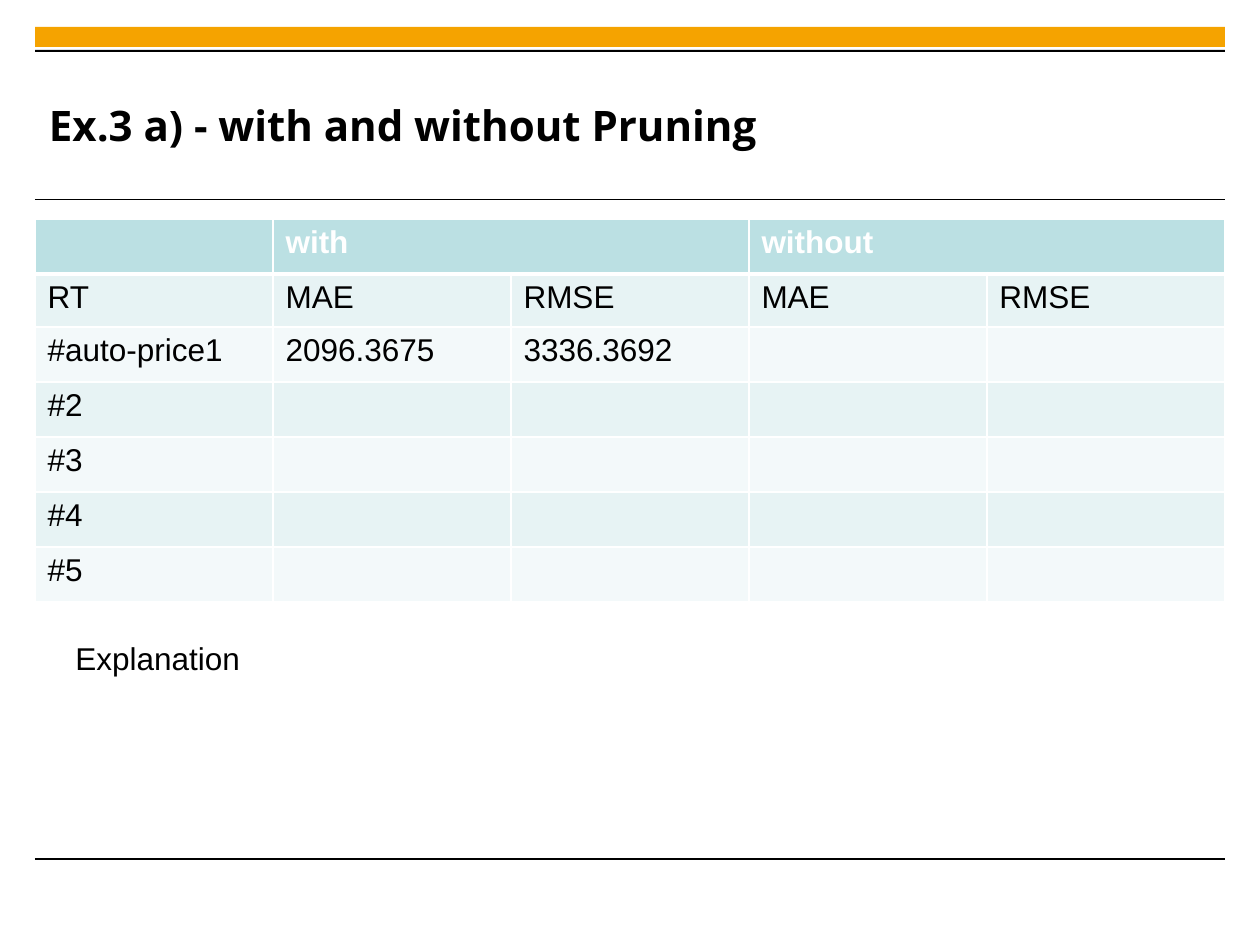
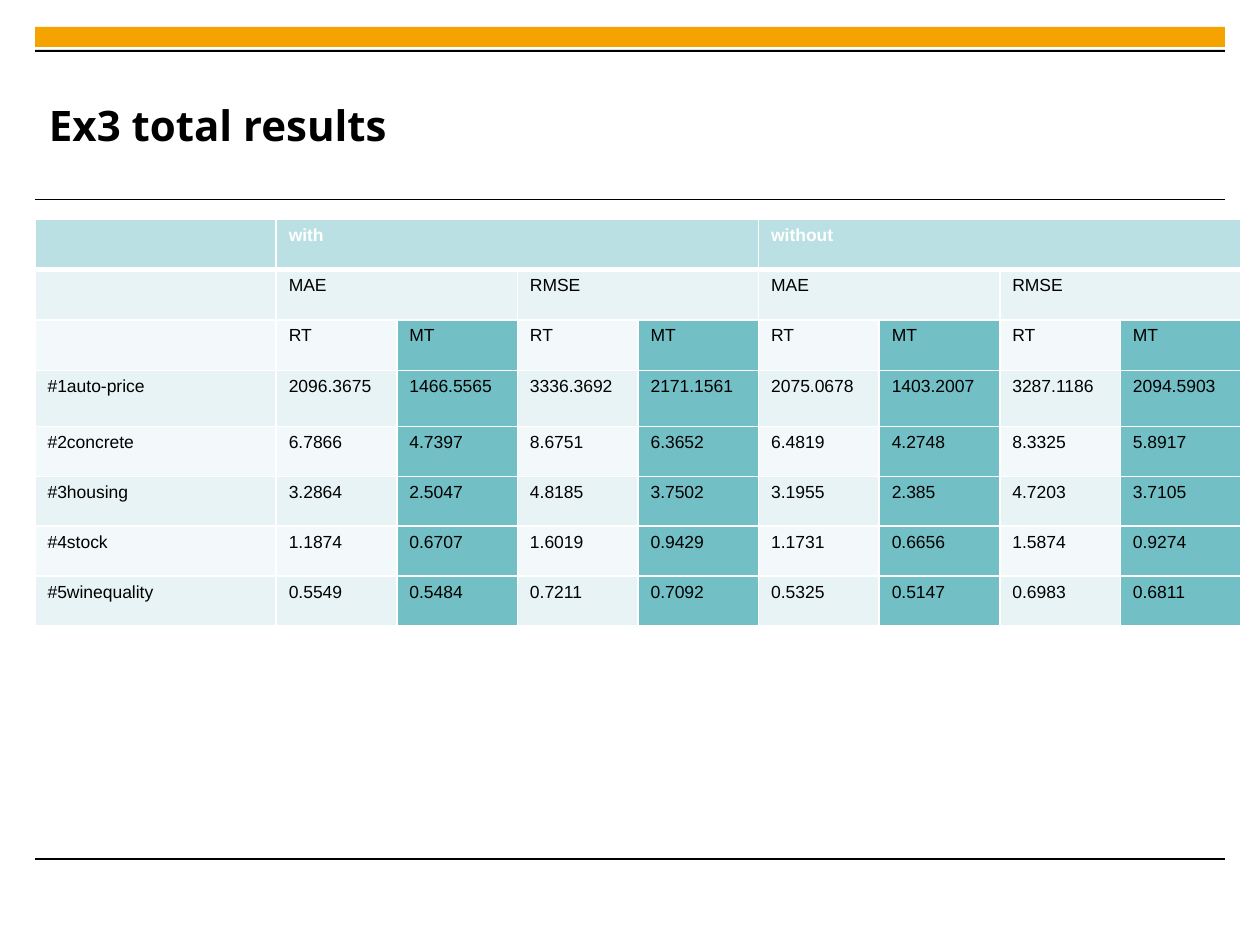
from pptx import Presentation
from pptx.dml.color import RGBColor
from pptx.enum.shapes import MSO_CONNECTOR, MSO_SHAPE
from pptx.enum.text import MSO_ANCHOR
from pptx.oxml import parse_xml
from pptx.oxml.ns import nsdecls
from pptx.util import Pt

SCALE = 914400 / 126
BLACK, WHITE, ORANGE = "000000", "FFFFFF", "F5A300"
HEADER, BANDS, ACCENT = "BBE0E3", ("F3F9FA", "E7F3F4"), "72BFC5"
LEFT, RIGHT, TABLE_TOP = 35, 1225, 219


def px(length):
    return round(length * SCALE)


def paint(color_format, color):
    color_format.rgb = RGBColor.from_string(color)


def write(frame, text, size=18, font="Arial", color=BLACK, bold=False):
    run = frame.paragraphs[0].add_run()
    run.text = text
    run.font.size, run.font.name, run.font.bold = Pt(size), font, bold
    paint(run.font.color, color)


def add_borders(cell, top=1, bottom=1):
    properties = cell._tc.get_or_add_tcPr()
    for side, points in (("L", 1), ("R", 1), ("T", top), ("B", bottom)):
        properties.append(parse_xml(
            f'<a:ln{side} {nsdecls("a")} w="{Pt(points)}"><a:solidFill>'
            f'<a:srgbClr val="{WHITE}"/></a:solidFill></a:ln{side}>'))


class Deck:
    """Holds the shared style and the slide being built."""

    def __init__(self):
        self.presentation = Presentation()
        self.presentation.slide_width = px(1260)
        self.presentation.slide_height = px(945)
        self.slide = None

    def start_slide(self, title):
        self.slide = self.presentation.slides.add_slide(
            self.presentation.slide_layouts[6])
        self.band(27, 20, ORANGE)
        self.rule(200)
        self.rule(859)
        self.band(50, 2, BLACK)
        frame = self.text(title, 49, 67, 948, 116,
                          size=24, font="Open Sans", bold=True)
        frame.vertical_anchor = MSO_ANCHOR.MIDDLE
        frame.margin_left = frame.margin_right = 0
        frame.margin_top = frame.margin_bottom = 0

    def band(self, top, height, color):
        band = self.slide.shapes.add_shape(
            MSO_SHAPE.RECTANGLE, px(LEFT), px(top), px(RIGHT - LEFT), px(height))
        band.shadow.inherit = False
        band.fill.solid()
        paint(band.fill.fore_color, color)
        band.line.fill.background()

    def rule(self, top):
        rule = self.slide.shapes.add_connector(
            MSO_CONNECTOR.STRAIGHT, px(LEFT), px(top), px(RIGHT), px(top))
        rule.line.width = Pt(0.6)
        paint(rule.line.color, BLACK)
        rule._element.spPr.append(parse_xml(f'<a:effectLst {nsdecls("a")}/>'))

    def text(self, text, left, top, width, height, **style):
        frame = self.slide.shapes.add_textbox(
            px(left), px(top), px(width), px(height)).text_frame
        frame.word_wrap = True
        write(frame, text, **style)
        return frame

    def table(self, rows, width, weights, heights, size, spans, accent_from=None):
        """Draw rows; spans maps a row to its merge width, accents fill even columns."""
        table = self.slide.shapes.add_table(
            len(rows), len(weights), px(LEFT), px(TABLE_TOP),
            px(width), px(sum(heights))).table
        table.first_row = table.horz_banding = False
        for column, weight in zip(table.columns, weights):
            column.width = px(width * weight / sum(weights))
        for row, height in zip(table.rows, heights):
            row.height = px(height)
        for r, values in enumerate(rows):
            span = spans.get(r, 1)
            for c in range(len(weights)):
                cell = table.cell(r, c)
                add_borders(cell, top=3 if r == 1 else 1, bottom=3 if r == 0 else 1)
                accented = accent_from is not None and r >= accent_from
                fill = HEADER if r == 0 else BANDS[r % 2]
                if accented and c and c % 2 == 0:
                    fill = ACCENT
                cell.fill.solid()
                paint(cell.fill.fore_color, fill)
            for i, value in enumerate(values):
                first = 1 + (i - 1) * span if i else 0
                cell = table.cell(r, first)
                if i and span > 1:
                    cell.merge(table.cell(r, first + span - 1))
                write(cell.text_frame, value, size=size, bold=r == 0,
                      color=WHITE if r == 0 else BLACK)


deck = Deck()

deck.start_slide("Ex.3 a) - with and without Pruning")
pruning = [
    ["", "with", "without"],
    ["RT"] + ["MAE", "RMSE"] * 2,
    ["#auto-price1", "2096.3675", "3336.3692", "", ""],
] + [[f"#{number}"] + [""] * 4 for number in range(2, 6)]
deck.table(pruning, 1190, [1] * 5, [55, 53] + [55] * 5, 18, {0: 2})
deck.text("Explanation", 63, 633, 1103, 165)

deck.start_slide("Ex3 total results")
results = [
    ["", "with", "without"],
    [""] + ["MAE", "RMSE"] * 2,
    [""] + ["RT", "MT"] * 4,
    ["#1auto-price", "2096.3675", "1466.5565", "3336.3692", "2171.1561",
     "2075.0678", "1403.2007", "3287.1186", "2094.5903"],
    ["#2concrete", "6.7866", "4.7397", "8.6751", "6.3652",
     "6.4819", "4.2748", "8.3325", "5.8917"],
    ["#3housing", "3.2864", "2.5047", "4.8185", "3.7502",
     "3.1955", "2.385", "4.7203", "3.7105"],
    ["#4stock", "1.1874", "0.6707", "1.6019", "0.9429",
     "1.1731", "0.6656", "1.5874", "0.9274"],
    ["#5winequality", "0.5549", "0.5484", "0.7211", "0.7092",
     "0.5325", "0.5147", "0.6983", "0.6811"],
]
deck.table(results, 1206, [2] + [1] * 8, [50] * 3 + [56] + [50] * 4, 10,
           {0: 4, 1: 2}, accent_from=2)

deck.presentation.save("out.pptx")
